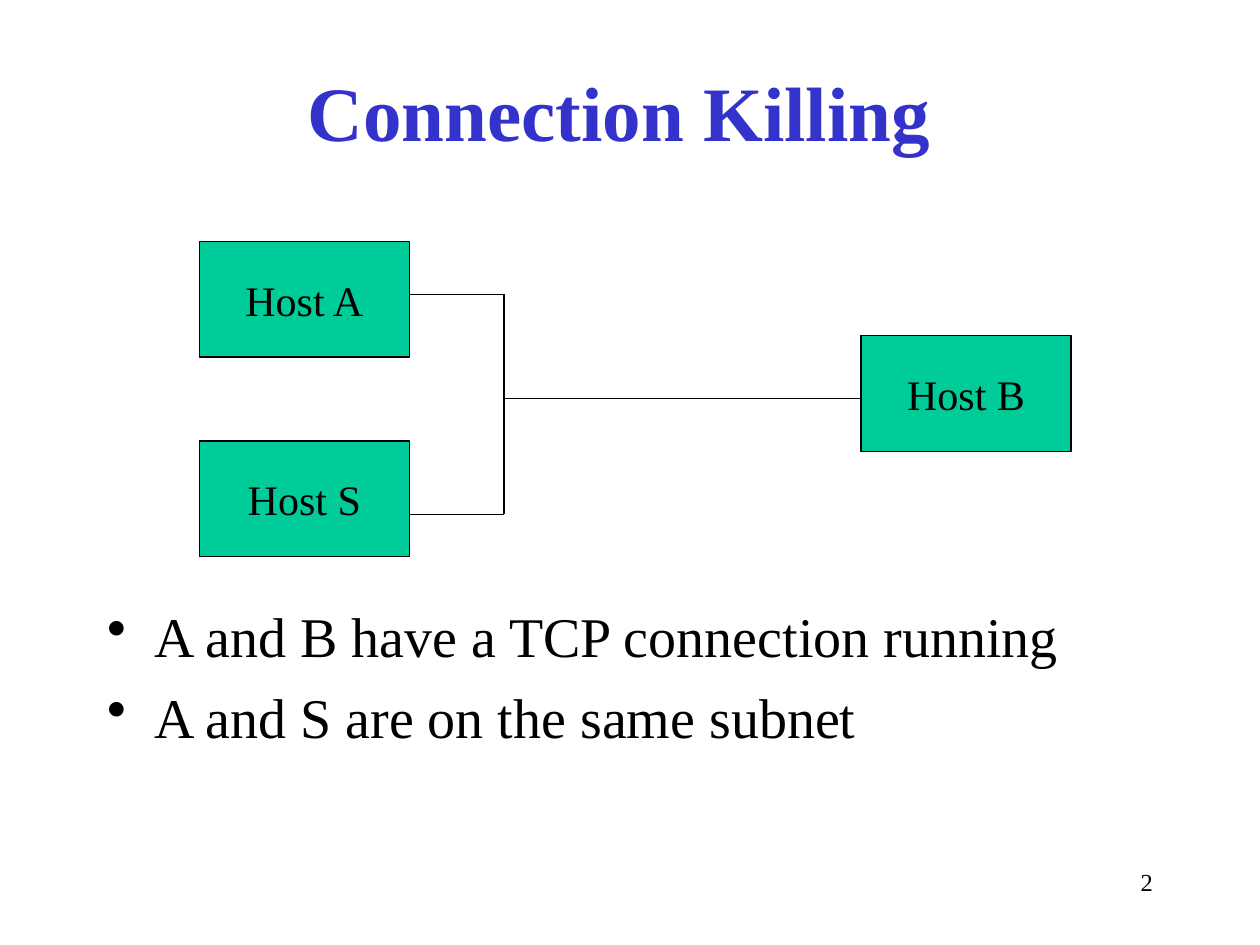
from dataclasses import dataclass

from lxml import etree
from pptx import Presentation
from pptx.dml.color import RGBColor
from pptx.enum.shapes import MSO_CONNECTOR, MSO_SHAPE
from pptx.enum.text import MSO_ANCHOR, PP_ALIGN
from pptx.oxml.ns import qn
from pptx.util import Cm, Pt

RECTANGLE = MSO_SHAPE.RECTANGLE
STRAIGHT = MSO_CONNECTOR.STRAIGHT
TOP, MIDDLE = MSO_ANCHOR.TOP, MSO_ANCHOR.MIDDLE
LEFT, CENTER, RIGHT = PP_ALIGN.LEFT, PP_ALIGN.CENTER, PP_ALIGN.RIGHT


@dataclass(frozen=True)
class Theme:
    font: str = "Times New Roman"
    title_color: RGBColor = RGBColor(0x33, 0x33, 0xCC)
    ink: RGBColor = RGBColor(0, 0, 0)
    host_fill: RGBColor = RGBColor(0x00, 0xCC, 0x99)
    title_size: Pt = Pt(44)
    body_size: Pt = Pt(32)
    host_size: Pt = Pt(24)
    number_size: Pt = Pt(14)
    line_width: Pt = Pt(0.75)


@dataclass(frozen=True)
class Box:
    left: float
    top: float
    width: float
    height: float

    def lengths(self):
        return [Cm(n) for n in (self.left, self.top, self.width, self.height)]


THEME = Theme()


def add_span(para, text, size, color=THEME.ink, bold=False):
    span = para.add_run()
    span.text = text
    span.font.name = THEME.font
    span.font.size = size
    span.font.bold = bold
    span.font.color.rgb = color


def add_text_frame(page, box, anchor=TOP):
    frame = page.shapes.add_textbox(*box.lengths()).text_frame
    frame.word_wrap = True
    frame.vertical_anchor = anchor
    return frame


def add_title(page, box, text):
    para = add_text_frame(page, box, MIDDLE).paragraphs[0]
    para.alignment = CENTER
    add_span(para, text, THEME.title_size, THEME.title_color, bold=True)


def add_host(page, box, name):
    host = page.shapes.add_shape(RECTANGLE, *box.lengths())
    host.shadow.inherit = False
    host.fill.solid()
    host.fill.fore_color.rgb = THEME.host_fill
    host.line.color.rgb = THEME.ink
    host.line.width = THEME.line_width
    frame = host.text_frame
    frame.word_wrap = False
    frame.vertical_anchor = MIDDLE
    para = frame.paragraphs[0]
    para.alignment = CENTER
    add_span(para, name, THEME.host_size)


def add_wire(page, x1, y1, x2, y2):
    wire = page.shapes.add_connector(STRAIGHT, Cm(x1), Cm(y1), Cm(x2), Cm(y2))
    wire.line.color.rgb = THEME.ink
    wire.line.width = THEME.line_width
    etree.SubElement(wire._element.spPr, qn("a:effectLst"))


def add_network(page, box):
    """Hosts A and S share a bus on the left; host B hangs off it on the right."""
    width, height = 4.23, 2.33
    right = box.left + box.width - width
    bus = box.left + 6.14
    wire_a, wire_b, wire_s = (box.top + y for y in (1.06, 3.17, 5.5))

    hosts = [
        ("Host A", box.left, box.top),
        ("Host S", box.left, box.top + box.height - height),
        ("Host B", right, box.top + 1.9),
    ]
    for name, left, top in hosts:
        add_host(page, Box(left, top, width, height), name)

    for y in (wire_a, wire_s):
        add_wire(page, box.left + width, y, bus, y)
    add_wire(page, bus, wire_a, bus, wire_s)
    add_wire(page, bus, wire_b, right, wire_b)


def add_bullets(page, box, lines):
    frame = add_text_frame(page, box)
    indent = Cm(0.95)
    for index, line in enumerate(lines):
        para = frame.add_paragraph() if index else frame.paragraphs[0]
        para.alignment = LEFT
        para.space_before = Pt(7.4)
        props = para._p.get_or_add_pPr()
        props.set("marL", str(indent))
        props.set("indent", str(-indent))
        etree.SubElement(props, qn("a:buChar"), char="•")
        add_span(para, line, THEME.body_size)


def add_page_number(page, box, number):
    para = add_text_frame(page, box).paragraphs[0]
    para.alignment = RIGHT
    add_span(para, number, THEME.number_size)


def main():
    deck = Presentation()
    deck.slide_width, deck.slide_height = Cm(25.4), Cm(19.05)
    page = deck.slides.add_slide(deck.slide_layouts[6])
    add_title(page, Box(1.69, 0.64, 21.59, 3.18), "Connection Killing")
    add_network(page, Box(4.02, 4.87, 17.57, 6.35))
    add_bullets(page, Box(1.91, 12.01, 21.59, 4.93), [
        "A and B have a TCP connection running",
        "A and S are on the same subnet",
    ])
    add_page_number(page, Box(18.2, 17.36, 5.29, 1.27), "2")
    deck.save("out.pptx")


if __name__ == "__main__":
    main()
